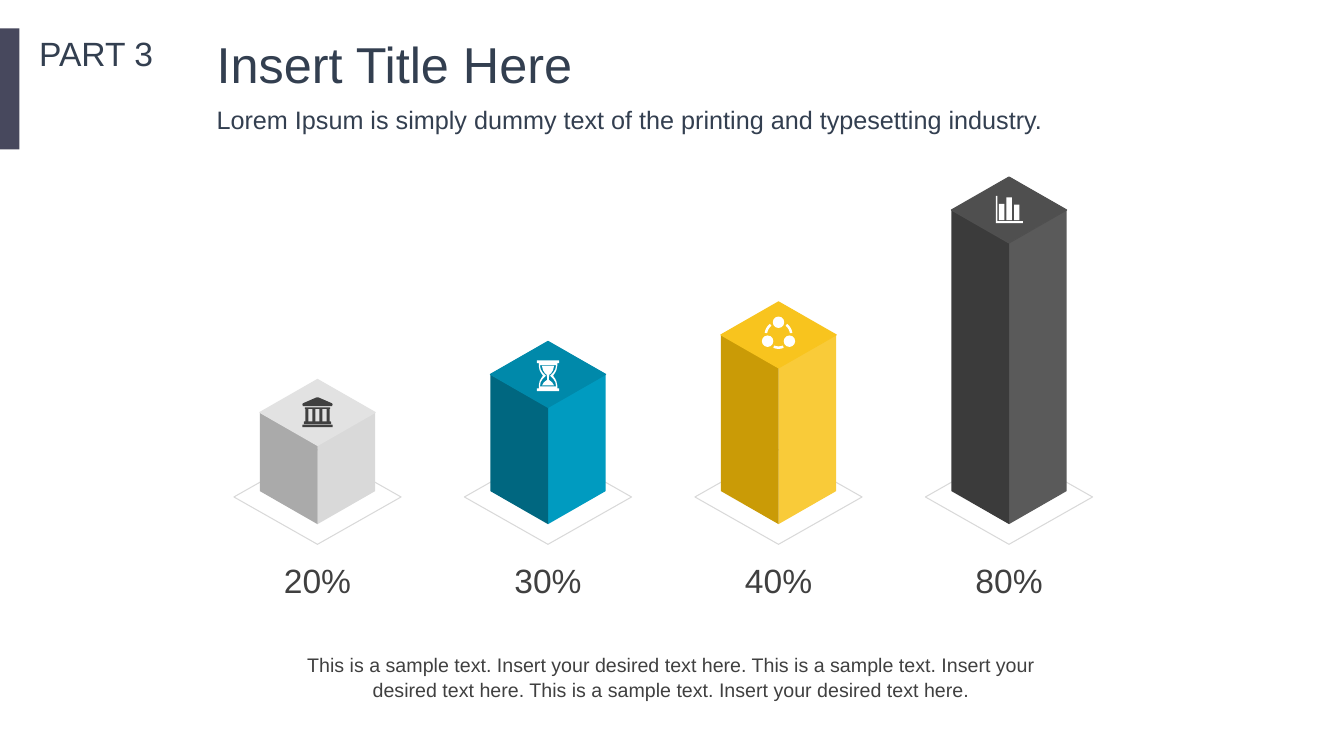
"""Build a slide with four isometric percentage towers."""
import math
from dataclasses import dataclass

import pptx
import pptx.dml.color
import pptx.enum.shapes
import pptx.enum.text
import pptx.util

Pt = pptx.util.Pt
SHAPES = pptx.enum.shapes.MSO_SHAPE
ALIGN = pptx.enum.text.PP_ALIGN


@dataclass(frozen=True)
class Theme:
    """Colours, font and type sizes of the slide."""
    font: str = "Arial"
    title_size: int = 36
    label_size: int = 24
    subtitle_size: int = 18
    note_size: int = 14
    heading: str = "333F50"
    text: str = "404040"
    accent: str = "47485D"
    pedestal: str = "D9D9D9"
    icon: str = "FFFFFF"
    silver: tuple = ("D9D9D9", "AAAAAA", "E2E2E2")
    blue: tuple = ("009BC0", "006780", "0089AA")
    yellow: tuple = ("F9CB39", "CA9B06", "F8C41E")
    charcoal: tuple = ("5A5A5A", "3B3B3B", "4F4F4F")


THEME = Theme()
FIRST_X, PITCH = 226.8, 164.65
FRONT_Y, PEDESTAL_Y = 374.4, 355
HALF_WIDTH, HALF_DEPTH = 41.2, 23.6


def rgb(code):
    """Return the colour for a hex code."""
    return pptx.dml.color.RGBColor.from_string(code)


def paint(shape, fill=None, line=None):
    """Set the fill and hairline of a shape, and drop its shadow."""
    shape.shadow.inherit = False
    if fill:
        shape.fill.solid()
        shape.fill.fore_color.rgb = rgb(fill)
    else:
        shape.fill.background()
    if line:
        shape.line.color.rgb = rgb(line)
        shape.line.width = Pt(0)
    else:
        shape.line.fill.background()


def block(slide, left, top, width, height, fill, kind=SHAPES.RECTANGLE):
    """Add a filled preset shape."""
    shape = slide.shapes.add_shape(kind, Pt(left), Pt(top), Pt(width), Pt(height))
    paint(shape, fill)


def outline(slide, x, y, contours, fill=None, line=None):
    """Add a freeform whose contours are offsets from x, y."""
    placed = [[(Pt(x + dx), Pt(y + dy)) for dx, dy in contour] for contour in contours]
    builder = slide.shapes.build_freeform(*placed[0][0])
    builder.add_line_segments(placed[0][1:], close=True)
    for contour in placed[1:]:
        builder.move_to(*contour[0])
        builder.add_line_segments(contour[1:], close=True)
    paint(builder.convert_to_shape(), fill, line)


def diamond(half_width, half_depth):
    """Return a diamond around the origin."""
    return [(0, -half_depth), (half_width, 0), (0, half_depth), (-half_width, 0)]


def mirrored(profile):
    """Close a right-hand profile with its reflection on the left."""
    return profile + [(-dx, dy) for dx, dy in reversed(profile)]


def write(shape, text, size, color, align=ALIGN.LEFT, wrap=False, spacing=1.0):
    """Fill a shape with one formatted paragraph."""
    frame = shape.text_frame
    frame.text = text
    frame.word_wrap = wrap
    frame.auto_size = pptx.enum.text.MSO_AUTO_SIZE.NONE
    frame.vertical_anchor = pptx.enum.text.MSO_ANCHOR.TOP
    paragraph = frame.paragraphs[0]
    paragraph.alignment = align
    paragraph.line_spacing = spacing
    paragraph.font.name = THEME.font
    paragraph.font.size = Pt(size)
    paragraph.font.color.rgb = rgb(color)


def label(slide, left, top, width, height, *content, **layout):
    """Add a text box."""
    box = slide.shapes.add_textbox(Pt(left), Pt(top), Pt(width), Pt(height))
    write(box, *content, **layout)


def bank_icon(slide, x, y):
    """Draw a bank with a roof and four pillars."""
    roof = mirrored([(0.5, -10.8), (10.4, -6.5), (10.8, -5.8), (10.4, -4.5)])
    outline(slide, x, y, [roof], THEME.text)
    block(slide, x - 9, y - 3.6, 18, 1.2, THEME.text)
    for pillar in range(4):
        block(slide, x - 8.7 + 5.05 * pillar, y - 2.6, 2.2, 9.4, THEME.text)
    for half, top in ((9.7, 6.5), (10.8, 8.8)):
        block(slide, x - half, y + top, 2 * half, 1.8, THEME.text, SHAPES.ROUNDED_RECTANGLE)


def hourglass_icon(slide, x, y):
    """Draw an hourglass with sand in both bulbs."""
    frame = [(7.9, -11), (7.9, -9), (6.6, -9), (6.6, -7), (6, -4), (5, -2), (3.6, 0)]
    glass = [(5.8, -7.6), (5.2, -4.5), (3.8, -2.3), (1.5, 0)]
    sand = [(4.3, -7), (3.6, -4), (2.2, -1.7), (1, -0.8), (0.7, 0.8),
            (0.7, 3), (2.9, 4.7), (4.3, 7)]
    symmetric = [half + [(dx, -dy) for dx, dy in half[-2::-1]] for half in (frame, glass)]
    contours = [mirrored(profile) for profile in symmetric + [sand]]
    outline(slide, x, y + 1, contours, THEME.icon)


def network_icon(slide, x, y):
    """Draw three dots joined by arcs of a circle."""
    dot, ring = 4.1, 9
    for turn in (-90, 30, 150):
        angle = math.radians(turn)
        block(slide, x + ring * math.cos(angle) - dot, y + ring * math.sin(angle) - dot,
              2 * dot, 2 * dot, THEME.icon, SHAPES.OVAL)
        sweep = [math.radians(turn + 60 + step) for step in range(-22, 23, 11)]
        edges = [(10, angle) for angle in sweep] + [(8.2, angle) for angle in sweep[::-1]]
        arc = [(r * math.cos(angle), r * math.sin(angle)) for r, angle in edges]
        outline(slide, x, y, [arc], THEME.icon)


def bars_icon(slide, x, y):
    """Draw a bar chart with its axes."""
    axes = [(-9.4, -10), (-8.4, -10), (-8.4, 8), (9.9, 8), (9.9, 9.4), (-9.4, 9.4)]
    outline(slide, x, y, [axes], THEME.icon)
    for index, height in enumerate((11.5, 16.3, 11)):
        block(slide, x - 7.2 + 5.4 * index, y + 7.2 - height, 3.9, height, THEME.icon)


def tower(slide, x, height, faces, draw_icon, percent):
    """Draw a tower on its pedestal, with icon and percentage."""
    right, left, top = faces
    outline(slide, x, PEDESTAL_Y, [diamond(59.7, 33.8)], line=THEME.pedestal)
    for side, fill in ((HALF_WIDTH, right), (-HALF_WIDTH, left)):
        face = [(0, 0), (side, -HALF_DEPTH), (side, -HALF_DEPTH - height), (0, -height)]
        outline(slide, x, FRONT_Y, [face], fill)
    top_y = FRONT_Y - height - HALF_DEPTH
    outline(slide, x, top_y, [diamond(HALF_WIDTH, HALF_DEPTH)], top, top)
    draw_icon(slide, x, top_y)
    label(slide, x - 31.7, 396.7, 63.4, 36, percent, THEME.label_size, THEME.text,
          align=ALIGN.CENTER)


def headings(slide):
    """Place the title, part label, subtitle and accent bar."""
    title = slide.shapes.title
    title.left, title.top, title.width, title.height = Pt(147.6), Pt(20.2), Pt(270.7), Pt(51)
    write(title, "Insert Title Here", THEME.title_size, THEME.heading)
    block(slide, 0, 20.2, 13.9, 86.6, THEME.accent)
    label(slide, 20.9, 20.2, 96.5, 36, "PART 3", THEME.label_size, THEME.heading)
    label(slide, 147.6, 71.3, 609.8, 29,
          "Lorem Ipsum is simply dummy text of the printing and typesetting industry.",
          THEME.subtitle_size, THEME.heading)


def main():
    """Build and save the slide."""
    deck = pptx.Presentation()
    deck.slide_width, deck.slide_height = Pt(960), Pt(540)
    slide = deck.slides.add_slide(deck.slide_layouts[5])
    headings(slide)
    towers = (
        (56.2, THEME.silver, bank_icon, "20%"),
        (83.4, THEME.blue, hourglass_icon, "30%"),
        (111.6, THEME.yellow, network_icon, "40%"),
        (200.8, THEME.charcoal, bars_icon, "80%"),
    )
    for index, details in enumerate(towers):
        tower(slide, FIRST_X + PITCH * index, *details)
    sample = "This is a sample text. Insert your desired text here."
    label(slide, 200.9, 460.8, 557.3, 44.6, " ".join([sample] * 3),
          THEME.note_size, THEME.text, align=ALIGN.CENTER, wrap=True, spacing=1.1)
    deck.save("out.pptx")


if __name__ == "__main__":
    main()
